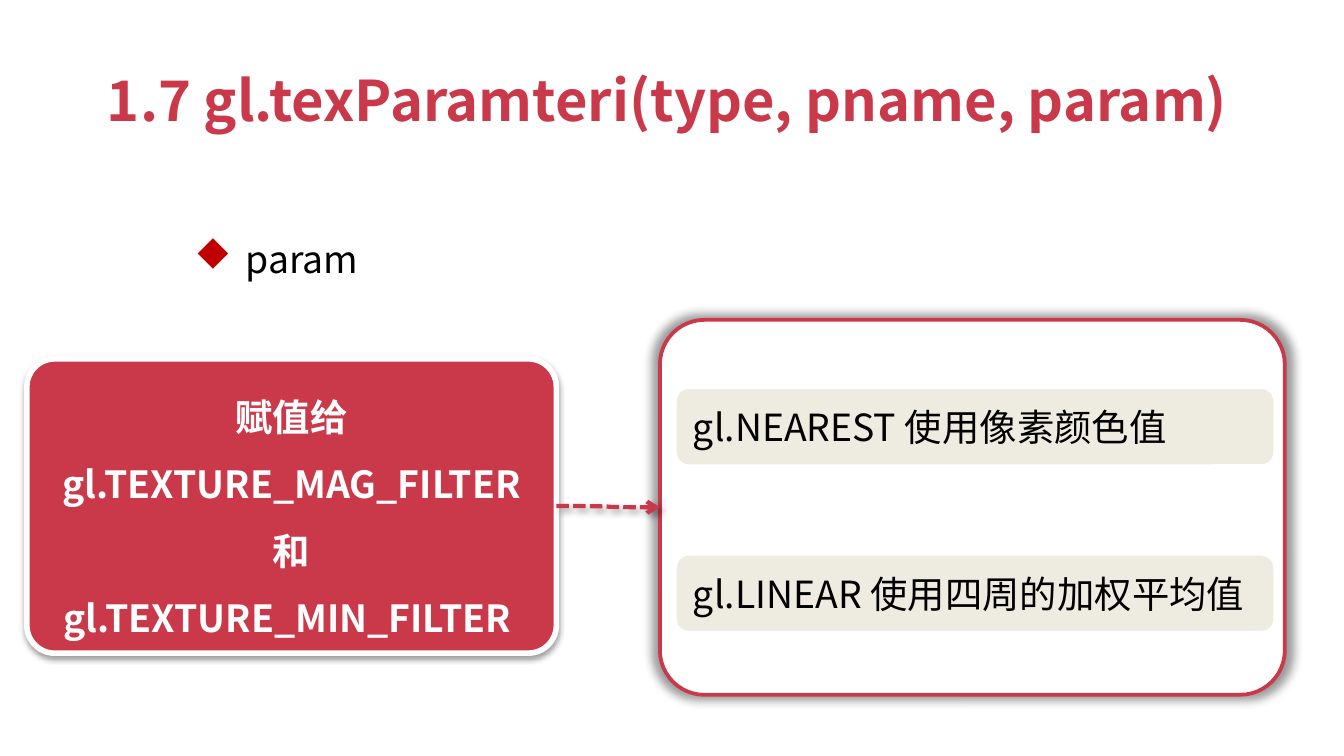
from pptx import Presentation
from pptx.dml.color import RGBColor
from pptx.enum.dml import MSO_LINE
from pptx.enum.shapes import MSO_CONNECTOR, MSO_SHAPE
from pptx.enum.text import MSO_ANCHOR, MSO_AUTO_SIZE, PP_ALIGN
from pptx.oxml.ns import qn
from pptx.util import Inches, Pt
from lxml import etree

ROUNDED = MSO_SHAPE.ROUNDED_RECTANGLE
CURVE = MSO_CONNECTOR.CURVE
DASH = MSO_LINE.SQUARE_DOT
MIDDLE = MSO_ANCHOR.MIDDLE
FIT_SHAPE = MSO_AUTO_SIZE.SHAPE_TO_FIT_TEXT
LEFT, CENTER, JUSTIFY = PP_ALIGN.LEFT, PP_ALIGN.CENTER, PP_ALIGN.JUSTIFY
FONT = "Noto Sans CJK SC"
RED, WHITE, BLACK, BEIGE, DARK_RED = "C9394A", "FFFFFF", "000000", "EEECE1", "C00000"


def rgb(value):
    return RGBColor.from_string(value)


def add_xml(parent, tag, **attrs):
    return etree.SubElement(parent, qn(tag), {k: str(v) for k, v in attrs.items()})


def add_shadow(effects, alpha, blur, dist, angle, scale=100):
    shadow = add_xml(effects, "a:outerShdw", blurRad=Pt(blur), dist=Pt(dist),
                     dir=angle * 60000, sx=scale * 1000, sy=scale * 1000,
                     algn="ctr", rotWithShape=0)
    color = add_xml(shadow, "a:srgbClr", val=BLACK)
    add_xml(color, "a:alpha", val=alpha * 1000)


def write(sp, text, size=20, color=BLACK, bold=False, frame=None, para=None):
    tf = sp.text_frame
    for name, value in {"word_wrap": True, **(frame or {})}.items():
        setattr(tf, name, value)
    p = tf.paragraphs[0]
    for name, value in {"alignment": LEFT, **(para or {})}.items():
        setattr(p, name, value)
    r = p.add_run()
    r.text = text
    for name, value in {"name": FONT, "size": Pt(size), "bold": bold}.items():
        setattr(r.font, name, value)
    r.font.color.rgb = rgb(color)
    add_xml(r._r.get_or_add_rPr(), "a:ea", typeface=FONT)
    return p


def add_box(s, box, fill, line, width, adj=None, shadow=None):
    sp = s.shapes.add_shape(ROUNDED, *map(Inches, box))
    sp.fill.solid()
    sp.fill.fore_color.rgb = rgb(fill)
    sp.line.color.rgb = rgb(line)
    sp.line.width = Pt(width)
    sp.shadow.inherit = False
    if adj is not None:
        sp.adjustments[0] = adj
    if shadow:
        add_shadow(sp._element.spPr.find(qn("a:effectLst")), *shadow)
    return sp


def add_title(s, box, text):
    sp = s.shapes.add_textbox(*map(Inches, box))
    write(sp, text, 30, RED, True, {"word_wrap": False, "auto_size": FIT_SHAPE},
          {"alignment": CENTER})


def add_bullet(s, box, text):
    sp = s.shapes.add_textbox(*map(Inches, box))
    p = write(sp, text, frame={"vertical_anchor": MIDDLE}, para={"alignment": JUSTIFY})
    pPr = p._p.get_or_add_pPr()
    pPr.set("marL", str(Inches(0.82)))
    pPr.set("indent", str(Inches(-0.38)))
    add_xml(add_xml(pPr, "a:buClr"), "a:srgbClr", val=DARK_RED)
    add_xml(pPr, "a:buFont", typeface="Wingdings", charset=2)
    add_xml(pPr, "a:buChar", char="u")


def add_target(s, box, text):
    sp = add_box(s, box, RED, WHITE, 3, 0.095, (38, 3.1, 1.6, 90))
    write(sp, text, color=WHITE, bold=True, frame={"vertical_anchor": MIDDLE},
          para={"alignment": CENTER, "line_spacing": 1.5})
    return sp


def add_options(s, box, options):
    left, top, width, _ = box
    panel = add_box(s, box, WHITE, RED, 2, 0.119, (40, 5, 0, 0, 102))
    for i, text in enumerate(options):
        row = (left + 0.12, top + 0.51 + i * 1.24, width - 0.2, 0.57)
        write(add_box(s, row, BEIGE, WHITE, 0.75), text, frame={"vertical_anchor": MIDDLE})
    return panel


def add_arrow(s, start, end):
    cxn = s.shapes.add_connector(CURVE, 0, 0, 0, 0)
    cxn.begin_connect(start, 3)
    cxn.end_connect(end, 1)
    cxn.line.color.rgb = rgb(RED)
    cxn.line.width = Pt(2.25)
    cxn.line.dash_style = DASH
    add_xml(cxn.line._get_or_add_ln(), "a:tailEnd", type="arrow")
    add_shadow(add_xml(cxn._element.spPr, "a:effectLst"), 40, 4, 3, 45)


def main():
    prs = Presentation()
    prs.slide_width, prs.slide_height = Inches(10), Inches(10 * 9 / 16)
    s = prs.slides.add_slide(prs.slide_layouts[6])
    add_title(s, (0.57, 0.44, 8.79, 0.61), "1.7 gl.texParamteri(type, pname, param)")
    add_bullet(s, (0.91, 1.62, 9, 0.61), "param")
    panel = add_options(s, (4.91, 2.38, 4.65, 2.79),
                        ["gl.NEAREST 使用像素颜色值", "gl.LINEAR 使用四周的加权平均值"])
    target = add_target(s, (0.2, 2.67, 3.94, 2.19),
                        "赋值给 gl.TEXTURE_MAG_FILTER和 gl.TEXTURE_MIN_FILTER ")
    add_arrow(s, target, panel)
    prs.save("out.pptx")


if __name__ == "__main__":
    main()
